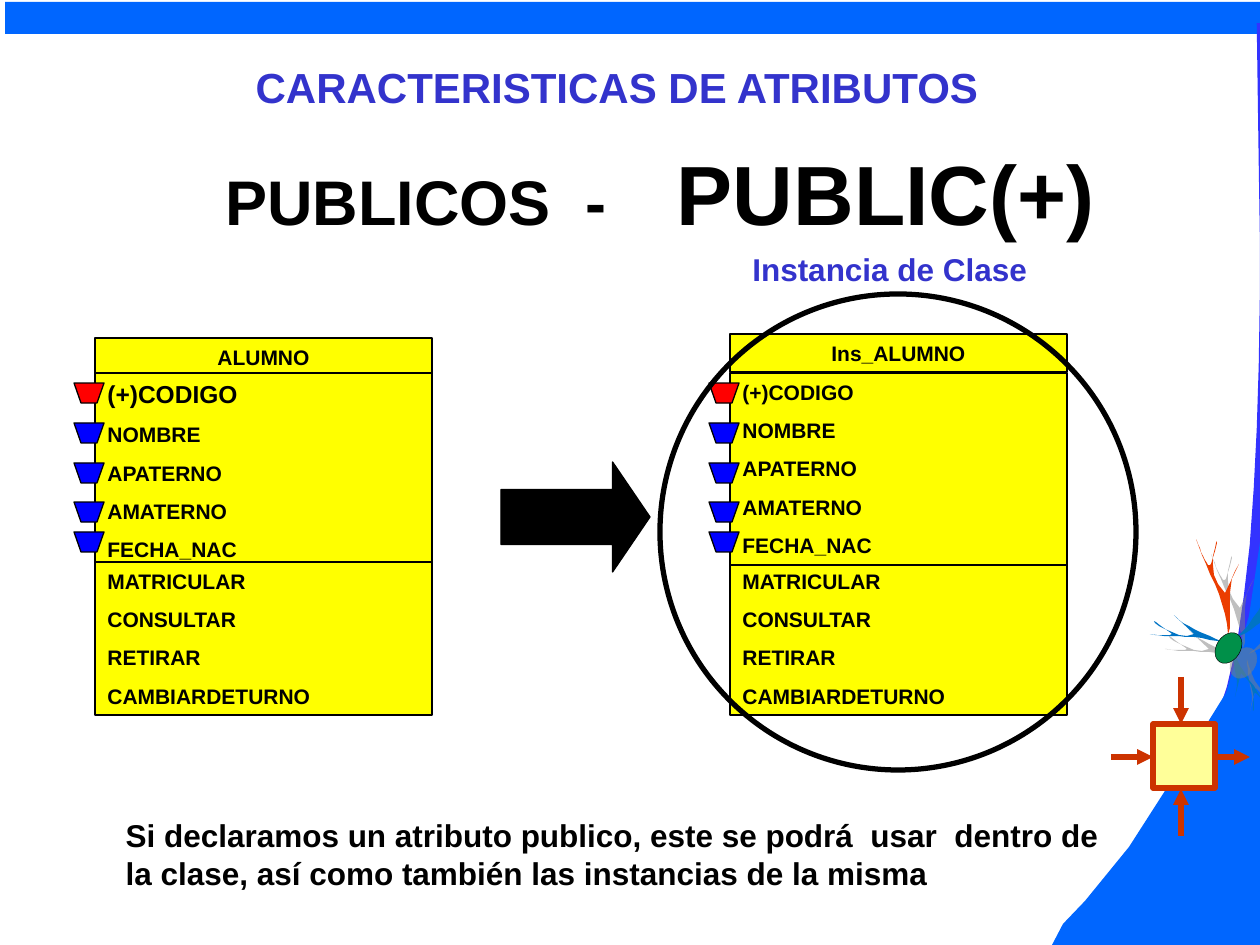
"""Slide on public attributes: a class, its instance and the side decoration."""
from lxml import etree
from pptx import Presentation
from pptx import util as u
from pptx.dml.color import RGBColor
from pptx.enum import shapes, text
from pptx.oxml.ns import qn

PX = 914400 / 126
BLACK = RGBColor(0, 0, 0)
INDIGO = RGBColor(0x33, 0x33, 0xCC)
YELLOW = RGBColor(0xFF, 0xFF, 0)
RED = RGBColor(0xFF, 0, 0)
BLUE = RGBColor(0, 0, 0xFF)
SKY = RGBColor(0, 0x66, 0xFF)
WAVE_BLUE = RGBColor(0x33, 0x33, 0xFF)
CREAM = RGBColor(0xFF, 0xFF, 0x99)
RUST = RGBColor(0xCC, 0x33, 0)
ORANGE = RGBColor(0xEB, 0x3D, 0)
AZURE = RGBColor(0, 0x74, 0xC5)
GREEN = RGBColor(0, 0x90, 0x49)

TITLE = "CARACTERISTICAS DE ATRIBUTOS"
HEADING = [("PUBLICOS  -    ", 36), ("PUBLIC(+)", 48)]
CAPTION = "Instancia de Clase"
NOTE = ("Si declaramos un atributo publico, este se podrá  usar  dentro de "
        "la clase, así como también las instancias de la misma")
ATTRIBUTES = ["(+)CODIGO", "NOMBRE", "APATERNO", "AMATERNO", "FECHA_NAC"]
METHODS = ["MATRICULAR", "CONSULTAR", "RETIRAR", "CAMBIARDETURNO"]
CLASS_W = 337
CLASSES = [
    dict(x=95, name="ALUMNO", name_y=338, first_size=14, attr_h=195, attrs_on_top=False),
    dict(x=730, name="Ins_ALUMNO", name_y=334, first_size=12, attr_h=192, attrs_on_top=True),
]
MARKS = [(383, RED), (423, BLUE), (463, BLUE), (502, BLUE), (532, BLUE)]
HILL = [(1085, 901), (1129, 847), (1172, 780), (1226, 693), (1249, 616), (1259, 549),
        (1270, 474), (1270, 430), (1270, 945), (1052, 945), (1063, 924)]
WAVE = [(1262, 23), (1266, 258, 1270, 494, 1242, 645), (1215, 795, 1121, 878, 1094, 926)]
FLOWS = [(1111, 757, 1153, 757), (1216, 757, 1250, 757),
         (1181, 677, 1181, 724), (1181, 836, 1181, 789)]
BRANCHES = [
    (ORANGE, [(1196, 539), (1198, 544, 1208, 572, 1211, 564), (1231, 509, 1196, 567, 1225, 593),
              (1239, 564), (1223, 587, 1235, 614, 1228, 634), (1228, 601, 1203, 564, 1196, 539)]),
    (AZURE, [(1284, 563), (1283, 567, 1268, 590, 1276, 587), (1337, 570, 1261, 578, 1263, 612),
             (1298, 607), (1269, 610, 1255, 631, 1234, 639), (1260, 620, 1269, 582, 1284, 563)]),
    (AZURE, [(1150, 634), (1155, 635, 1177, 636, 1171, 633), (1131, 602, 1172, 644, 1194, 634),
             (1174, 615), (1188, 631, 1211, 634, 1225, 644), (1201, 634, 1171, 638, 1150, 634)]),
    (AZURE, [(1269, 711), (1266, 707, 1255, 688, 1254, 694), (1249, 737, 1264, 689, 1241, 673),
             (1235, 697), (1241, 679, 1231, 660, 1232, 644), (1237, 669, 1260, 692, 1269, 711)]),
]


def px(*values):
    return [u.Emu(round(v * PX)) for v in values]


def paint(sp, fill=None, line=None, width=0.75):
    sp.shadow.inherit = False
    if fill is None:
        sp.fill.background()
    else:
        sp.fill.solid()
        sp.fill.fore_color.rgb = fill
    if line is None:
        sp.line.fill.background()
    else:
        sp.line.color.rgb = line
        sp.line.width = u.Pt(width)
    return sp


def add_preset(s, kind, box, *style):
    return paint(s.shapes.add_shape(kind, *px(*box)), *style)


def add_outline(s, points, *style, close=True):
    fb = s.shapes.build_freeform(*points[0], scale=PX)
    fb.add_line_segments(points[1:], close=close)
    return paint(fb.convert_to_shape(), *style)


def flatten(curve, steps=10):
    points = [curve[0]]
    for seg in curve[1:]:
        if len(seg) == 2:
            points.append(seg)
            continue
        start = points[-1]
        for i in range(1, steps + 1):
            t = i / steps
            points.append(tuple(
                (1 - t) ** 3 * start[k] + 3 * (1 - t) ** 2 * t * seg[k]
                + 3 * (1 - t) * t * t * seg[2 + k] + t ** 3 * seg[4 + k] for k in (0, 1)))
    return points


def write(sp, paragraphs, before, color=BLACK, align=text.PP_ALIGN.LEFT):
    tf = sp.text_frame
    tf.word_wrap = True
    tf.auto_size = text.MSO_AUTO_SIZE.NONE
    tf.vertical_anchor = text.MSO_ANCHOR.TOP
    for i, runs in enumerate(paragraphs):
        p = tf.add_paragraph() if i else tf.paragraphs[0]
        p.alignment = align
        p.space_before = u.Pt(before)
        p.line_spacing = 1.0
        for words, size in runs:
            r = p.add_run()
            r.text = words
            r.font.name = "Arial"
            r.font.size = u.Pt(size)
            r.font.bold = True
            r.font.color.rgb = color
    return tf


def place(sp, box):
    sp.left, sp.top, sp.width, sp.height = px(*box)
    return sp


def cast_shadow(sp):
    effects = sp._element.spPr.find(qn("a:effectLst"))
    shadow = etree.SubElement(effects, qn("a:outerShdw"), dist="153670", dir="2700000")
    color = etree.SubElement(shadow, qn("a:srgbClr"), val="808080")
    etree.SubElement(color, qn("a:alpha"), val="50000")


def add_class(s, x, name, name_y, first_size, attr_h, attrs_on_top):
    rect = shapes.MSO_SHAPE.RECTANGLE
    sp = add_preset(s, rect, (x, name_y, CLASS_W, 38), YELLOW, BLACK)
    write(sp, [[(name, 12)]], 7.5, align=text.PP_ALIGN.CENTER)
    sizes = [first_size] + [12] * (len(ATTRIBUTES) - 1)
    parts = [(373, attr_h, [[pair] for pair in zip(ATTRIBUTES, sizes)]),
             (562, 153, [[(m, 12)] for m in METHODS])]
    for y, h, lines in reversed(parts) if attrs_on_top else parts:
        write(add_preset(s, rect, (x, y, CLASS_W, h), YELLOW, BLACK), lines, 7.5)
    left = x - 21
    for y, color in MARKS:
        add_outline(s, [(left, y), (left + 30, y), (left + 23, y + 20), (left + 7, y + 20)],
                    color, BLACK)


def add_flow(s, ends):
    cx = s.shapes.add_connector(shapes.MSO_CONNECTOR.STRAIGHT, *px(*ends))
    cx.line.color.rgb = RUST
    cx.line.width = u.Pt(3)
    etree.SubElement(cx.line._get_or_add_ln(), qn("a:tailEnd"), type="triangle")
    etree.SubElement(cx._element.spPr, qn("a:effectLst"))


def add_decoration(s):
    kind = shapes.MSO_SHAPE
    add_preset(s, kind.RECTANGLE, (5, 2, 1255, 32), SKY)
    add_outline(s, flatten(WAVE), None, WAVE_BLUE, 6, close=False)
    add_outline(s, HILL, SKY)
    add_preset(s, kind.RECTANGLE, (1153, 724, 62, 64), CREAM, RUST, 3)
    for ends in FLOWS:
        add_flow(s, ends)
    for color, curve in BRANCHES:
        cast_shadow(add_outline(s, flatten(curve), color))
    cell = add_preset(s, kind.OVAL, (1212, 636, 33, 24), GREEN, BLACK, 0.25)
    cell.rotation = 302.5
    cast_shadow(cell)


def main():
    prs = Presentation()
    prs.slide_width, prs.slide_height = px(1260, 945)
    s = prs.slides.add_slide(prs.slide_layouts[1])
    kind = shapes.MSO_SHAPE

    write(place(s.shapes.title, (243, 55, 784, 63)), [[(TITLE, 24)]], 15, INDIGO)
    tf = write(place(s.placeholders[1], (113, 810, 1022, 88)), [[(NOTE, 18)]], 11.2)
    pPr = tf.paragraphs[0]._p.get_or_add_pPr()
    pPr.set("marL", "0")
    pPr.set("indent", "0")
    etree.SubElement(pPr, qn("a:buNone"))

    write(s.shapes.add_textbox(*px(213, 135, 922, 113)), [HEADING], 30)
    for item in CLASSES:
        add_class(s, **item)
    arrow = add_preset(s, kind.RIGHT_ARROW, (501, 462, 149, 110), BLACK, BLACK)
    arrow.adjustments[1] = 0.34
    add_preset(s, kind.OVAL, (660, 294, 476, 476), None, BLACK, 3)
    write(s.shapes.add_textbox(*px(740, 244, 318, 50)), [[(CAPTION, 18)]], 11.2, INDIGO)
    add_decoration(s)
    prs.save("out.pptx")


if __name__ == "__main__":
    main()
